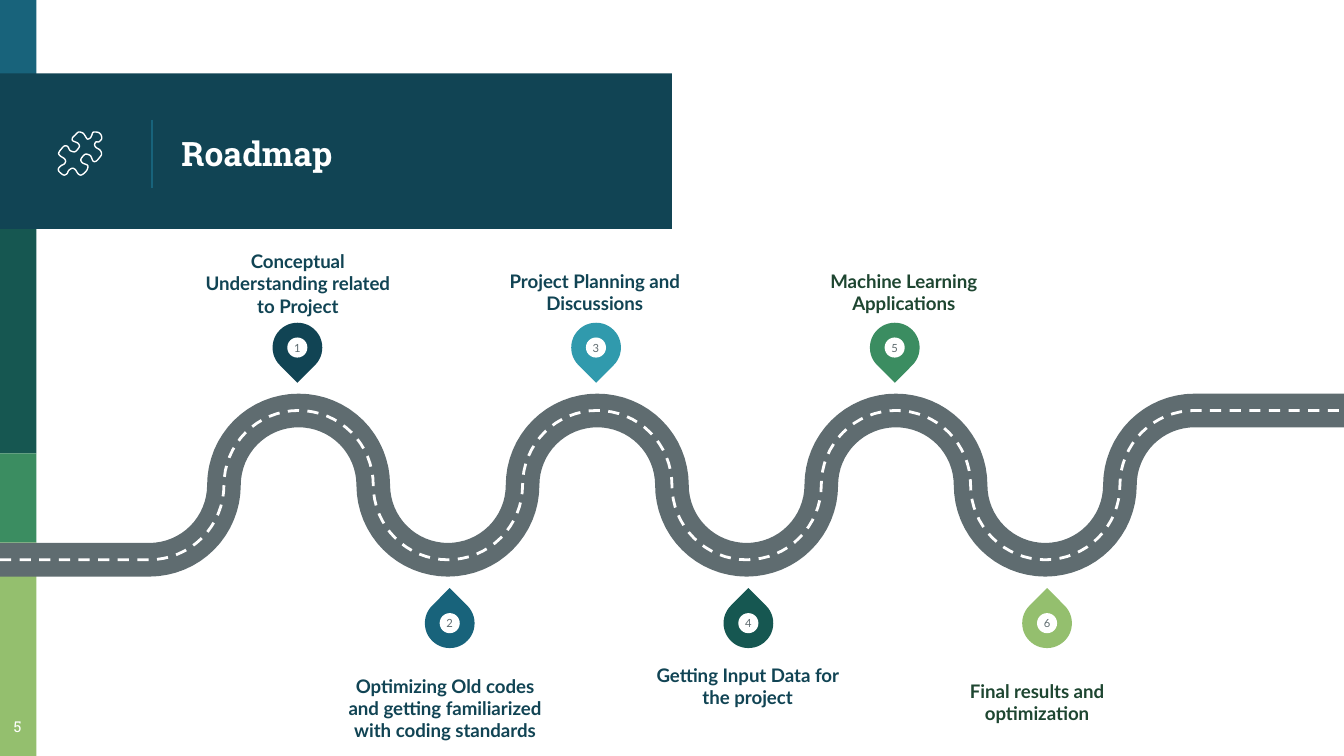
from dataclasses import dataclass
from math import cos, pi, sin

from lxml.etree import SubElement
from pptx import Presentation
from pptx.dml.color import RGBColor
from pptx.enum.dml import MSO_LINE
from pptx.enum.shapes import MSO_CONNECTOR, MSO_SHAPE
from pptx.enum.text import MSO_ANCHOR, PP_ALIGN
from pptx.oxml.ns import qn
from pptx.util import Cm, Pt


@dataclass(frozen=True)
class Theme:
    navy: str = "114454"
    blue: str = "18637B"
    teal: str = "309AAD"
    pine: str = "165751"
    green: str = "3B8D61"
    lime: str = "94BF6E"
    forest: str = "1E4631"
    asphalt: str = "5F6C70"
    white: str = "FFFFFF"
    heading: str = "Roboto Slab"
    body: str = "Lato"
    title_size: int = 18
    label_size: int = 10
    page_size: int = 8
    number_size: int = 6


THEME = Theme()
WIDTH, HEIGHT = 25.4, 14.29
SIDEBAR_WIDTH = 0.69
STEP = WIDTH / 9
PIN_SIZE, DOT_SIZE = 0.94, 0.38

BANDS = [
    (0, 1.47, THEME.blue),
    (4.33, 4.24, THEME.pine),
    (8.57, 1.69, THEME.green),
    (10.26, 4.03, THEME.lime),
]

MILESTONES = [
    ("Conceptual Understanding related to Project", THEME.navy, THEME.navy,
     (3.84, 4.47, 3.58, 1.52)),
    ("Optimizing Old codes and getting familiarized with coding standards",
     THEME.blue, THEME.navy, (6.53, 12.32, 3.76, 1.7)),
    ("Project Planning and Discussions", THEME.teal, THEME.navy,
     (9.45, 4.42, 3.58, 1.52)),
    ("Getting Input Data for the project", THEME.pine, THEME.navy,
     (12.34, 12.22, 3.58, 1.17)),
    ("Machine Learning Applications", THEME.green, THEME.forest,
     (15.29, 4.42, 3.58, 1.52)),
    ("Final results and optimization", THEME.lime, THEME.forest,
     (17.81, 12.17, 3.58, 1.52)),
]

PUZZLE_GRID = 31
PUZZLE_KNOTS = [
    (27, 7), (29, 7), (31, 5), (31, 3), (30, 1), (28, 0), (25, 0), (24, 2),
    (23, 4), (21, 5), (20, 4), (18, 1), (16, 0), (14, 0), (12, 2), (10, 4),
    (10, 6), (12, 7), (14, 8), (15, 10), (14, 12), (12, 14), (10, 14), (8, 13),
    (7, 11), (6, 10), (4, 10), (2, 12), (0, 15), (1, 17), (4, 19), (5, 21),
    (4, 23), (2, 24), (0, 26), (0, 28), (2, 30), (4, 31), (6, 30), (7, 28),
    (8, 27), (10, 26), (12, 27), (14, 30), (16, 31), (18, 30), (20, 28),
    (21, 26), (21, 24), (19, 23), (17, 22), (16, 20), (17, 18), (19, 16),
    (21, 16), (23, 17), (24, 19), (25, 21), (27, 21), (29, 19), (31, 16),
    (30, 13), (27, 11), (26, 9),
]


def color(value):
    return RGBColor.from_string(value)


def lengths(box):
    return [Cm(value) for value in box]


def add_block(shapes, kind, box, fill):
    shape = shapes.add_shape(kind, *lengths(box))
    shape.shadow.inherit = False
    shape.fill.solid()
    shape.fill.fore_color.rgb = color(fill)
    shape.line.fill.background()
    return shape


def write(shape, text, font, size, ink, bold=False, align=PP_ALIGN.CENTER,
          anchor=MSO_ANCHOR.MIDDLE, margin=0):
    frame = shape.text_frame
    frame.word_wrap = True
    frame.vertical_anchor = anchor
    frame.margin_left = frame.margin_right = Cm(margin)
    frame.margin_top = frame.margin_bottom = Cm(margin)
    paragraph = frame.paragraphs[0]
    paragraph.text = text
    paragraph.alignment = align
    paragraph.font.name = font
    paragraph.font.size = Pt(size)
    paragraph.font.bold = bold
    paragraph.font.color.rgb = color(ink)


def add_outline(slide, points, ink, width, close=False):
    places = [(Cm(x), Cm(y)) for x, y in points]
    builder = slide.shapes.build_freeform(*places[0], scale=1.0)
    builder.add_line_segments(places[1:], close=close)
    shape = builder.convert_to_shape()
    shape.shadow.inherit = False
    shape.fill.background()
    shape.line.color.rgb = color(ink)
    shape.line.width = Pt(width)
    return shape


def smooth_loop(knots, pieces=4):
    count = len(knots)
    points = []
    for index in range(count):
        corners = [knots[(index + shift) % count] for shift in (-1, 0, 1, 2)]
        for piece in range(pieces):
            t = piece / pieces
            points.append(tuple(
                b + t * (c - a) / 2
                + t ** 2 * (2 * a - 5 * b + 4 * c - d) / 2
                + t ** 3 * (3 * b - a - 3 * c + d) / 2
                for a, b, c, d in zip(*corners)
            ))
    return points


def add_sidebar(slide, left, width):
    for top, height, fill in BANDS:
        add_block(slide.shapes, MSO_SHAPE.RECTANGLE, (left, top, width, height), fill)
    page = slide.shapes.add_textbox(*lengths((left - 0.15, 13.39, 0.97, 0.89)))
    write(page, "5", THEME.heading, THEME.page_size, THEME.white,
          anchor=MSO_ANCHOR.TOP, margin=0.25)


def add_puzzle(slide, left, top, size):
    unit = size / PUZZLE_GRID
    points = [(left + x * unit, top + y * unit) for x, y in smooth_loop(PUZZLE_KNOTS)]
    add_outline(slide, points, THEME.white, 0.75, close=True)


def add_header(slide, left, top, width, height):
    add_block(slide.shapes, MSO_SHAPE.RECTANGLE, (left, top, width, height), THEME.navy)
    divider = slide.shapes.add_connector(
        MSO_CONNECTOR.STRAIGHT,
        *lengths((left + 2.87, top + 0.87, left + 2.87, top + 2.17)))
    divider.line.color.rgb = color(THEME.blue)
    divider.line.width = Pt(0.75)
    SubElement(divider.element.spPr, qn("a:effectLst"))
    add_puzzle(slide, left + 1.11, top + 1.11, 0.81)
    title = slide.shapes.add_textbox(*lengths((left + 3.18, top + 0.08, 8.92, 2.84)))
    write(title, "Roadmap", THEME.heading, THEME.title_size, THEME.white,
          bold=True, align=PP_ALIGN.LEFT, margin=0.25)


def add_road(slide, left, top, width, turns=8, pieces=32):
    step = width / (turns + 1)
    radius = step / 2
    points = [(left, top + step)]
    for turn in range(turns):
        center = left + step * (turn + 1)
        side = 1 if turn % 2 == 0 else -1
        first = pieces // 2 if turn == 0 else 0
        last = pieces // 2 if turn == turns - 1 else pieces
        for piece in range(first, last + 1):
            angle = pi * piece / pieces
            points.append((center - radius * cos(angle),
                           top + radius + side * radius * sin(angle)))
    points.append((left + width, top))
    add_outline(slide, points, THEME.asphalt, 18)
    add_outline(slide, points, THEME.white, 1.5).line.dash_style = MSO_LINE.DASH


def add_pin(slide, center_x, center_y, number, fill, rotation):
    def centered(size):
        return center_x - size / 2, center_y - size / 2, size, size

    group = slide.shapes.add_group_shape()
    drop = add_block(group.shapes, MSO_SHAPE.TEAR, centered(PIN_SIZE), fill)
    drop.rotation = rotation
    dot = add_block(group.shapes, MSO_SHAPE.OVAL, centered(DOT_SIZE), THEME.white)
    write(dot, str(number), THEME.body, THEME.number_size, THEME.asphalt)


def add_milestones(slide):
    for index, (text, fill, ink, box) in enumerate(MILESTONES):
        pair, below = divmod(index, 2)
        start, center_y, rotation = (8.5, 11.78, 315) if below else (5.62, 6.57, 135)
        add_pin(slide, start + 2 * STEP * pair, center_y, index + 1, fill, rotation)
        label = slide.shapes.add_textbox(*lengths(box))
        write(label, text, THEME.body, THEME.label_size, ink,
              bold=True, anchor=MSO_ANCHOR.BOTTOM)


def main():
    presentation = Presentation()
    presentation.slide_width, presentation.slide_height = Cm(WIDTH), Cm(HEIGHT)
    slide = presentation.slides.add_slide(presentation.slide_layouts[6])
    add_sidebar(slide, 0, SIDEBAR_WIDTH)
    add_header(slide, 0, 1.39, WIDTH / 2, 2.94)
    add_road(slide, 0, 7.76, WIDTH)
    add_milestones(slide)
    presentation.save("out.pptx")


if __name__ == "__main__":
    main()
